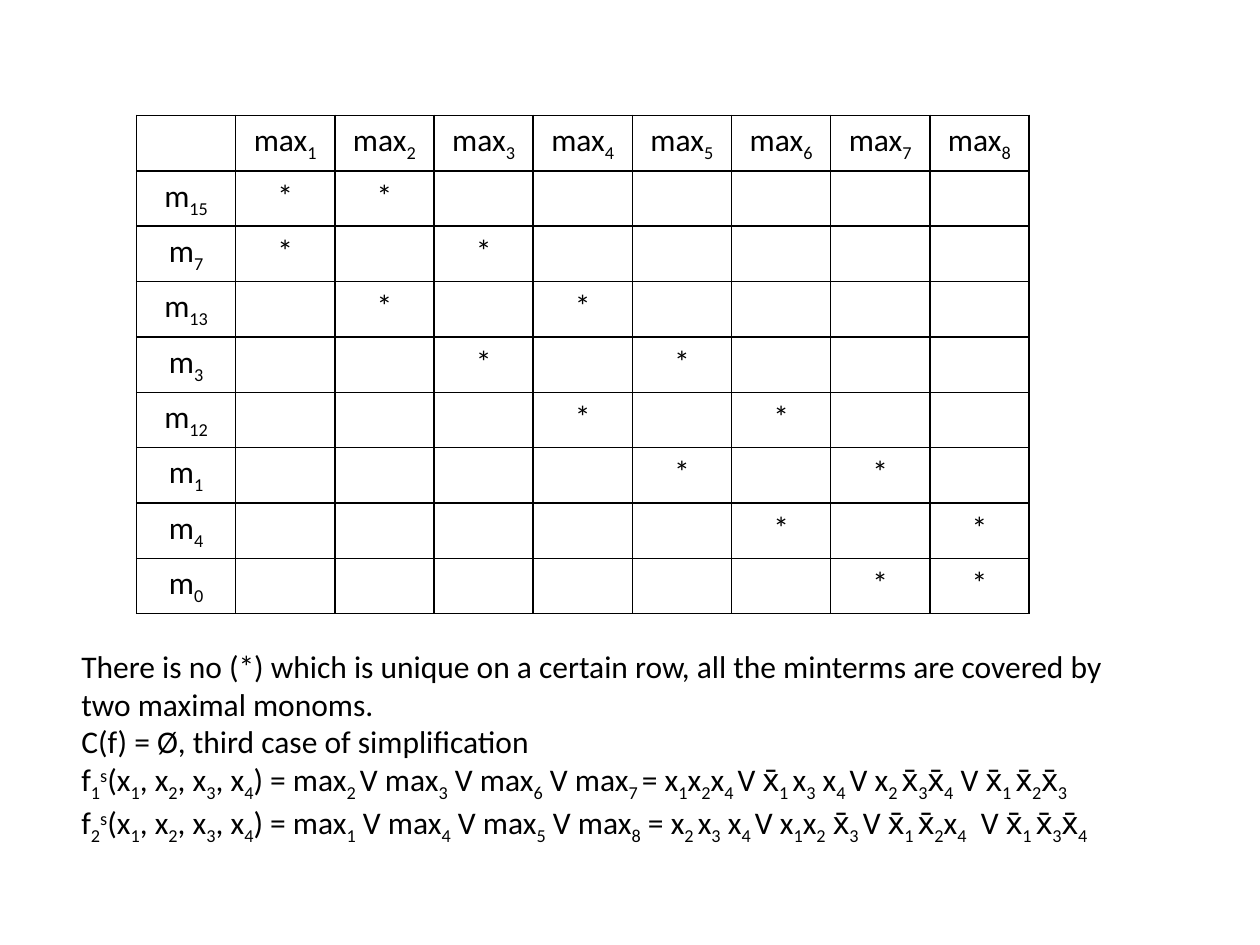
from dataclasses import dataclass

from lxml.etree import SubElement
from pptx import Presentation
from pptx.dml.color import RGBColor
from pptx.enum.text import MSO_AUTO_SIZE as AutoSize, PP_ALIGN as Align
from pptx.oxml.ns import qn
from pptx.util import Pt


@dataclass(frozen=True)
class Theme:
    font: str = "Calibri"
    size: float = 18
    ink: str = "000000"
    border: float = 1
    sub: int = -25000
    sup: int = 30000


@dataclass(frozen=True)
class Minterm:
    index: int
    covered_by: tuple[int, int]


THEME = Theme()
MONOM_COUNT = 8
COL_WIDTH, ROW_HEIGHT = 56.67, 30

MINTERMS = [
    Minterm(15, (1, 2)),
    Minterm(7, (1, 3)),
    Minterm(13, (2, 4)),
    Minterm(3, (3, 5)),
    Minterm(12, (4, 6)),
    Minterm(1, (5, 7)),
    Minterm(4, (6, 8)),
    Minterm(0, (7, 8)),
]

CONCLUSIONS = [
    "There is no (*) which is unique on a certain row, "
    "all the minterms are covered by two maximal monoms.",
    "C(f) = Ø, third case of simplification",
    "f_1_^s^(x_1_, x_2_, x_3_, x_4_) = max_2 _V max_3_ V max_6_ V max_7 _= "
    "x_1_x_2_x_4 _V x̄_1 _x_3_ x_4 _V x_2 _x̄_3_x̄_4_ V x̄_1 _x̄_2_x̄_3_",
    "f_2_^s^(x_1_, x_2_, x_3_, x_4_) = max_1_ V max_4_ V max_5_ V max_8_ = "
    "x_2 _x_3_ x_4 _V x_1_x_2_ x̄_3 _V x̄_1 _x̄_2_x_4_  V x̄_1 _x̄_3_x̄_4_",
]


def split_markup(text: str) -> list[tuple[str, int]]:
    """Split text into (part, baseline): _sub_ is lowered, ^sup^ is raised."""
    parts = []
    for i, chunk in enumerate(text.split("_")):
        if i % 2:
            parts.append((chunk, THEME.sub))
        else:
            parts += [(piece, THEME.sup if j % 2 else 0)
                      for j, piece in enumerate(chunk.split("^"))]
    return [(part, baseline) for part, baseline in parts if part]


def write(p, text: str, *, size: float = THEME.size, color: str = THEME.ink,
          align: Align = Align.LEFT) -> None:
    p.alignment = align
    for part, baseline in split_markup(text):
        r = p.add_run()
        r.text = part
        r.font.name = THEME.font
        r.font.size = Pt(size)
        r.font.color.rgb = RGBColor.from_string(color)
        if baseline:
            r.font._element.set("baseline", str(baseline))


def add_borders(cell) -> None:
    tc_pr = cell._tc.get_or_add_tcPr()
    for i, side in enumerate(("lnL", "lnR", "lnT", "lnB")):
        ln = SubElement(tc_pr, qn(f"a:{side}"), w=str(Pt(THEME.border)))
        fill = SubElement(ln, qn("a:solidFill"))
        SubElement(fill, qn("a:srgbClr"), val=THEME.ink)
        tc_pr.insert(i, ln)


def add_cover_table(s, left: float, top: float) -> None:
    monoms = range(1, MONOM_COUNT + 1)
    grid = [["", *(f"max_{n}_" for n in monoms)]]
    grid += [[f"m_{m.index}_", *("*" if n in m.covered_by else "" for n in monoms)]
             for m in MINTERMS]
    rows, cols = len(grid), len(grid[0])
    table = s.shapes.add_table(rows, cols, Pt(left), Pt(top),
                               Pt(cols * COL_WIDTH), Pt(rows * ROW_HEIGHT)).table
    table.first_row = table.horz_banding = False
    for col in table.columns:
        col.width = Pt(COL_WIDTH)
    for row, texts in zip(table.rows, grid):
        row.height = Pt(ROW_HEIGHT)
        for cell, text in zip(row.cells, texts):
            cell.fill.background()
            add_borders(cell)
            write(cell.text_frame.paragraphs[0], text, align=Align.CENTER)


def add_conclusions(s, left: float, top: float, width: float, height: float) -> None:
    tf = s.shapes.add_textbox(Pt(left), Pt(top), Pt(width), Pt(height)).text_frame
    tf.word_wrap = True
    tf.auto_size = AutoSize.SHAPE_TO_FIT_TEXT
    for i, text in enumerate(CONCLUSIONS):
        write(tf.add_paragraph() if i else tf.paragraphs[0], text)


def main() -> None:
    prs = Presentation()
    prs.slide_width, prs.slide_height = Pt(720), Pt(540)
    s = prs.slides.add_slide(prs.slide_layouts[6])
    add_cover_table(s, 78, 66)
    add_conclusions(s, 39.4, 366, 618, 116.6)
    prs.save("out.pptx")


if __name__ == "__main__":
    main()
